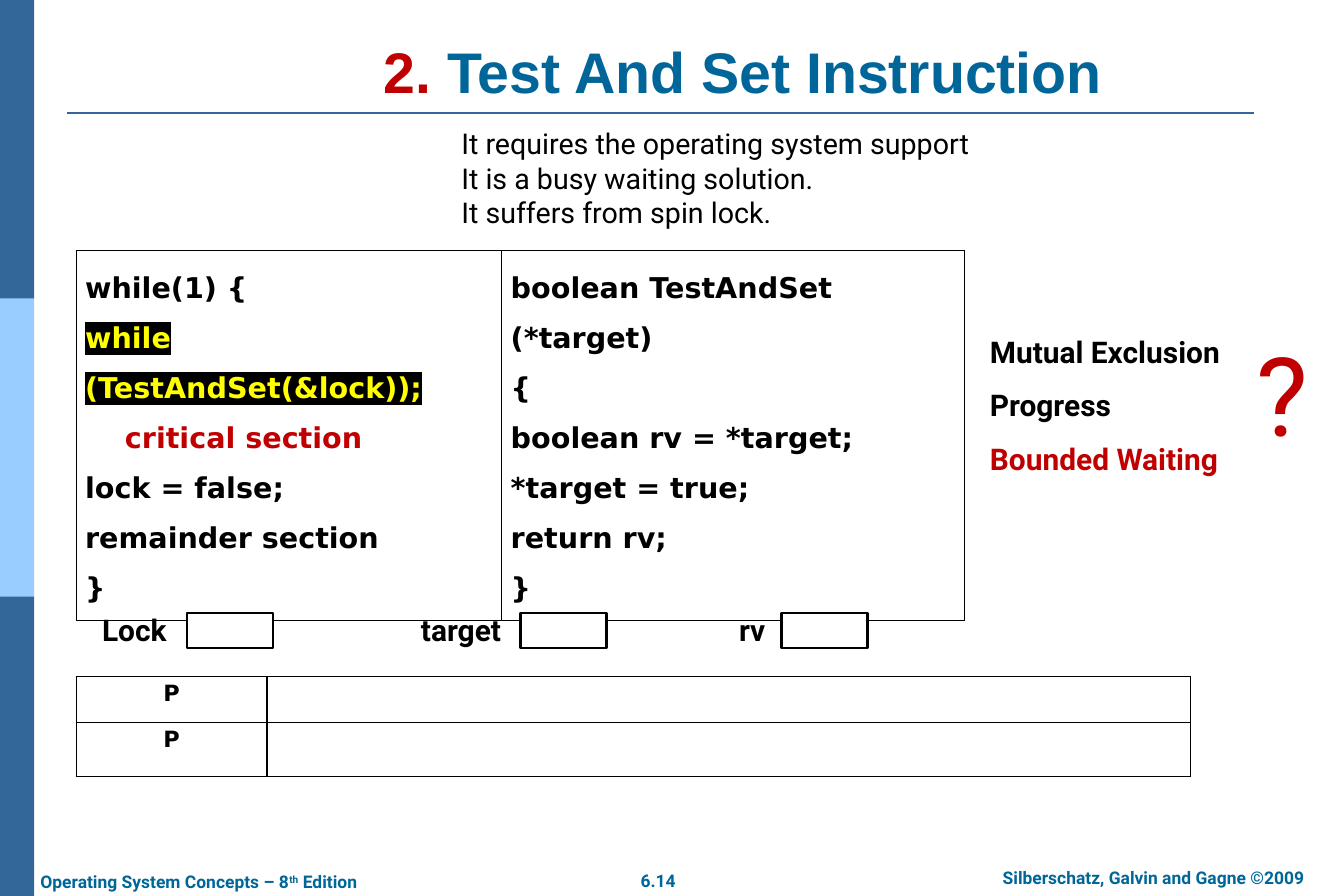
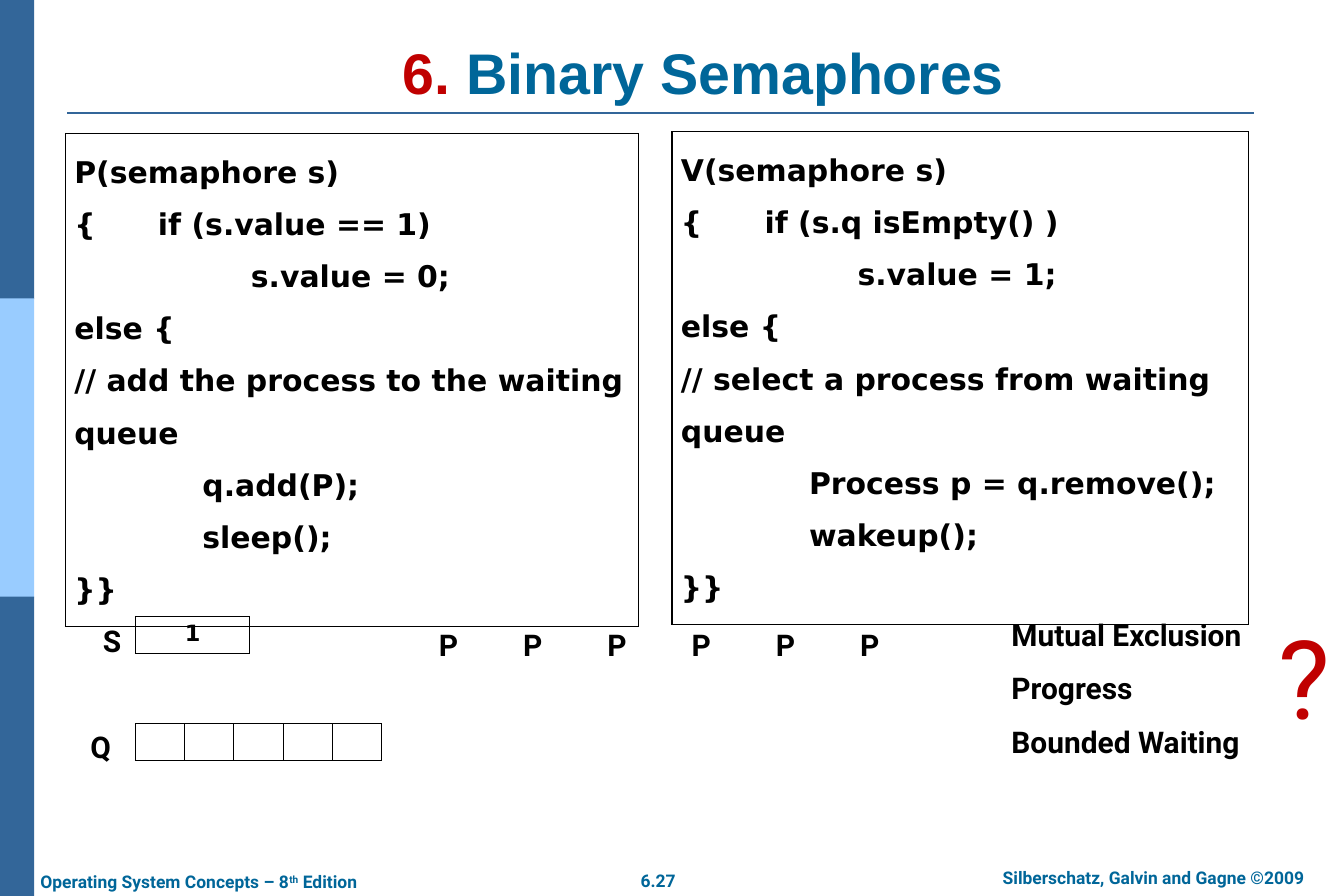
from lxml.etree import SubElement
from pptx import Presentation
from pptx.dml.color import RGBColor
from pptx.enum.shapes import MSO_CONNECTOR, MSO_SHAPE
from pptx.enum.text import MSO_ANCHOR, PP_ALIGN
from pptx.oxml.ns import qn
from pptx.util import Emu, Pt

PX = 9144  # EMU in one px, 100 px to the inch
COLORS = {
    "band": "336699", "light band": "99CCFF", "heading": "006699", "accent": "C00000",
    "ink": "000000", "paper": "FFFFFF", "marked": "FFFF00",
}
TITLE, BODY, CODE = "Arial", "Roboto", "DejaVu Sans"


def px(*lengths):
    return [Emu(length * PX) for length in lengths]


def rgb(name):
    return RGBColor.from_string(COLORS[name])


def add_color(parent, name):
    SubElement(parent, qn("a:srgbClr"), val=COLORS[name])


def write(para, text, size=24, font=BODY, color="ink", bold=True, highlight=None, raised=False):
    span = para.add_run()
    span.text = text
    span.font.size = Pt(size)
    span.font.bold = bold
    span.font.name = font
    span.font.color.rgb = rgb(color)
    properties = span.font._element
    if highlight:
        marker = SubElement(properties, qn("a:highlight"))
        add_color(marker, highlight)
        properties.find(qn("a:solidFill")).addnext(marker)
    if raised:
        properties.set("baseline", "30000")


def fill_frame(frame, lines, align=PP_ALIGN.LEFT, spacing=None, **style):
    """Each line is a text or a list of (text, format) spans; "indent" in a format moves the line."""
    for index, line in enumerate(lines):
        para = frame.paragraphs[0] if index == 0 else frame.add_paragraph()
        para.alignment = align
        if spacing:
            para.line_spacing = spacing
        for text, changes in [(line, {})] if isinstance(line, str) else line:
            look = {**style, **changes}
            indent = look.pop("indent", 0)
            if indent:
                para._p.get_or_add_pPr().set("marL", str(indent * PX))
            write(para, text, **look)


def border(cell):
    properties = cell._tc.get_or_add_tcPr()
    for side in ("lnL", "lnR", "lnT", "lnB"):
        edge = SubElement(properties, qn(f"a:{side}"), w=str(Pt(1)))
        add_color(SubElement(edge, qn("a:solidFill")), "ink")


class Deck:
    def __init__(self):
        self.file = Presentation()
        self.file.slide_width, self.file.slide_height = px(1500, 1000)
        self.page = None

    def start_page(self, number, title, name, left, top):
        self.page = self.file.slides.add_slide(self.file.slide_layouts[6])
        for index, color in enumerate(("band", "light band", "band")):
            self.rectangle(0, index * 1000 // 3, 38, 334, color)
        self.rule(75, 126, 1400)
        footer = dict(size=14, color="heading", inset=(14, 7))
        self.text(690, 964, 89, 38, [number], align=PP_ALIGN.CENTER, **footer)
        self.text(1075, 961, 425, 38, ["Silberschatz, Galvin and Gagne ©2009"],
                  align=PP_ALIGN.CENTER, **footer)
        self.text(31, 965, 408, 38, [[("Operating System Concepts – 8", {}),
                                      ("th", {"raised": True}), (" Edition", {})]], **footer)
        self.text(left, top, 1342, 84, [[(title, {"color": "accent"}), (name, {})]],
                  anchor=MSO_ANCHOR.BOTTOM, align=PP_ALIGN.CENTER, inset=(14, 7),
                  size=46, font=TITLE, color="heading")

    def rectangle(self, left, top, width, height, fill, line=None):
        shape = self.page.shapes.add_shape(MSO_SHAPE.RECTANGLE, *px(left, top, width, height))
        shape.shadow.inherit = False
        shape.fill.solid()
        shape.fill.fore_color.rgb = rgb(fill)
        if line:
            shape.line.color.rgb = rgb(line)
            shape.line.width = Pt(2)
        else:
            shape.line.fill.background()

    def rule(self, left, top, right):
        line = self.page.shapes.add_connector(MSO_CONNECTOR.STRAIGHT, *px(left, top, right, top))
        line.line.color.rgb = rgb("band")
        line.line.width = Pt(1.5)
        SubElement(line._element.spPr, qn("a:effectLst"))

    def text(self, left, top, width, height, lines, anchor=MSO_ANCHOR.TOP, inset=(10, 5), **style):
        box = self.page.shapes.add_textbox(*px(left, top, width, height))
        frame = box.text_frame
        frame.word_wrap = True
        frame.vertical_anchor = anchor
        frame.margin_left, frame.margin_top = frame.margin_right, frame.margin_bottom = px(*inset)
        fill_frame(frame, lines, **style)

    def table(self, left, top, widths, heights, cells, **style):
        """Cells are rows of line lists; an empty list leaves a cell blank."""
        frame = self.page.shapes.add_table(len(heights), len(widths),
                                           *px(left, top, sum(widths), sum(heights)))
        grid = frame.table
        grid.first_row = grid.horz_banding = False
        for column, width in zip(grid.columns, px(*widths)):
            column.width = width
        for row, height, contents in zip(grid.rows, px(*heights), cells):
            row.height = height
            for cell, lines in zip(row.cells, contents):
                border(cell)
                cell.fill.background()
                fill_frame(cell.text_frame, lines, font=CODE, **style)

    def criteria(self, left, top, last_color="ink"):
        self.text(left, top, 300, 184, ["Mutual Exclusion", "Progress",
                                        [("Bounded Waiting", {"color": last_color})]], spacing=1.5)
        self.text(left + 298, top + 13, 84, 158, ["?"], size=88, color="accent", bold=False)


def test_and_set(deck):
    deck.start_page("6.14", "2. ", "Test And Set Instruction", 158, 40)
    loop = [
        "while(1) {",
        [("while (TestAndSet(&lock));", {"color": "marked", "highlight": "ink"})],
        [("    critical section", {"color": "accent"})],
        "lock = false;",
        "remainder section",
        "}",
    ]
    function = ["boolean TestAndSet (*target)", "{", "boolean rv = *target;",
                "*target = true;", "return rv;", "}"]
    deck.table(85, 280, [475, 517], [348], [[loop, function]], size=23, spacing=1.5)
    deck.text(505, 136, 621, 126, ["It requires the operating system support",
                                   "It is a busy waiting solution.",
                                   "It suffers from spin lock."], size=23, bold=False)
    deck.table(85, 755, [213, 1031], [51, 61], [[["P"], []]] * 2, size=18, align=PP_ALIGN.CENTER)
    for name, label_left, box_left in (("Lock", 104, 209), ("target", 460, 581), ("rv", 815, 872)):
        deck.text(label_left, 678, 121, 50, [name])
        deck.rectangle(box_left, 684, 96, 39, "paper", "ink")
    deck.criteria(1095, 347, "accent")


def binary_semaphores(deck):
    deck.start_page("6.27", "6. ", "Binary Semaphores", 114, 41)
    operations = (
        (73, 149, 640, "P", "s.value == 1", 0, "add the process to the", ("q.add(P);", "sleep();")),
        (750, 147, 643, "V", "s.q isEmpty() ", 1, "select a process from",
         ("Process p = q.remove();", "wakeup();")),
    )
    for left, top, width, name, test, value, task, steps in operations:
        code = [
            f"{name}(semaphore s)",
            f"{{      if ({test})",
            f"                 s.value = {value};",
            "else {",
            f"// {task} waiting queue",
            *[[(step, {"indent": 143})] for step in steps],
            "}}",
        ]
        deck.table(left, top, [width], [483], [[code]], spacing=1.5)
    deck.text(105, 690, 93, 50, ["S"])
    deck.table(151, 688, [128], [41], [[["1"]]], size=18, align=PP_ALIGN.CENTER)
    deck.criteria(1119, 663)
    deck.text(91, 808, 61, 50, ["Q"])
    for slot in range(5):
        deck.table(151 + 55 * slot, 808, [55], [41], [[[]]])
    for process in range(6):
        deck.text(480 + 94 * process, 695, 39, 50, ["P"])


def main():
    deck = Deck()
    test_and_set(deck)
    binary_semaphores(deck)
    deck.file.save("out.pptx")


if __name__ == "__main__":
    main()
